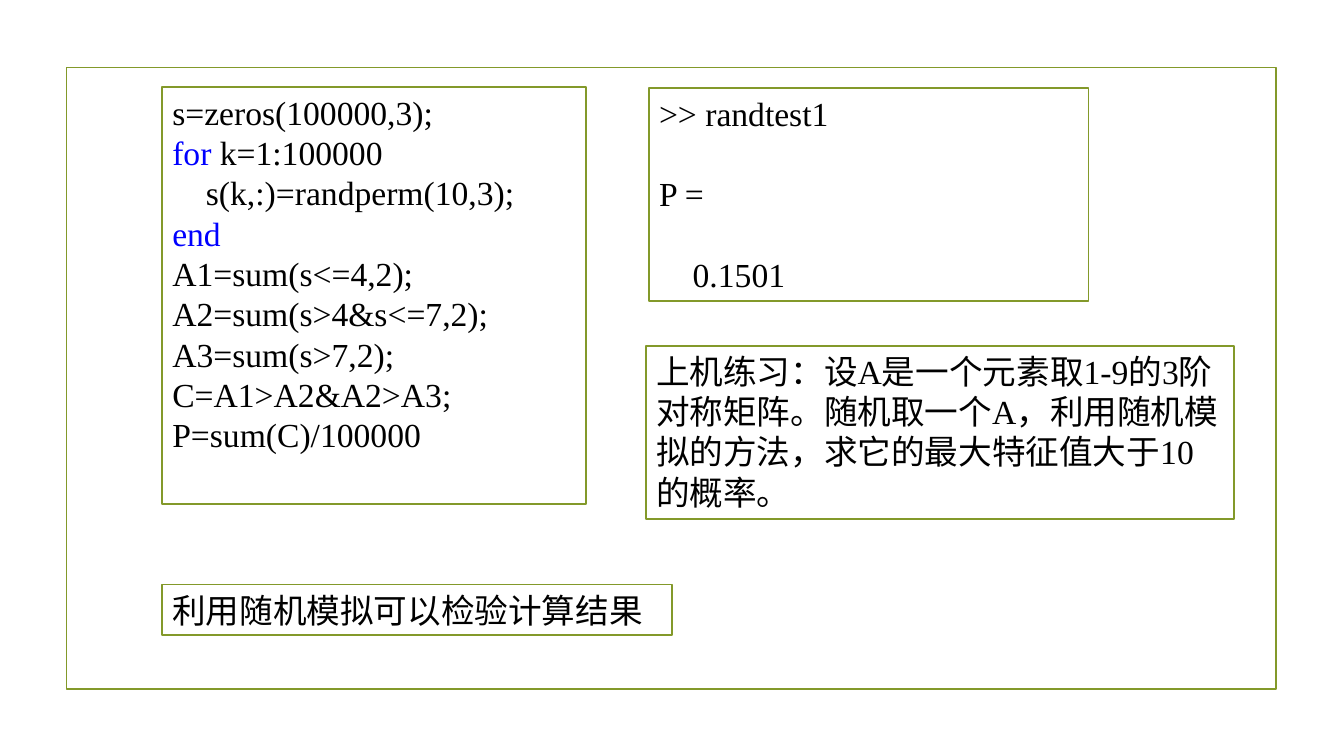
"""Builds a slide on checking a probability by random simulation."""
from dataclasses import dataclass

from lxml import etree
from pptx import Presentation
from pptx.dml.color import RGBColor
from pptx.enum.shapes import MSO_SHAPE
from pptx.enum.text import MSO_ANCHOR, MSO_AUTO_SIZE, PP_ALIGN
from pptx.oxml.ns import qn
from pptx.util import Inches, Pt

RECTANGLE = MSO_SHAPE.RECTANGLE
TOP = MSO_ANCHOR.TOP
LEFT = PP_ALIGN.LEFT
NO_AUTOFIT = MSO_AUTO_SIZE.NONE

PAGE_WIDTH = Inches(13.33)
PAGE_HEIGHT = Inches(7.5)
COLUMN = PAGE_WIDTH / 100
ROW = PAGE_HEIGHT / 100


@dataclass(frozen=True)
class Theme:
    """Colours, fonts and type sizes of the slide."""
    ink: RGBColor = RGBColor(0, 0, 0)
    keyword: RGBColor = RGBColor(0, 0, 255)
    paper: RGBColor = RGBColor(255, 255, 255)
    border: RGBColor = RGBColor(0x83, 0x99, 0x2A)
    border_width: Pt = Pt(1.25)
    latin: str = "Times New Roman"
    chinese: str = "Noto Sans CJK JP"
    size: Pt = Pt(24)
    leading: Pt = Pt(28.8)
    indent: Pt = Pt(24)


THEME = Theme()


@dataclass(frozen=True)
class Span:
    """A piece of text in one colour."""
    text: str
    color: RGBColor = THEME.ink


@dataclass(frozen=True)
class Line:
    """A paragraph with its indent steps and the empty lines above it."""
    spans: tuple[Span, ...]
    indent: int = 0
    gap: int = 0


@dataclass(frozen=True)
class Panel:
    """A bordered rectangle placed in grid columns and rows."""
    left: float
    top: float
    width: float
    height: float
    lines: tuple[Line, ...] = ()
    filled: bool = True
    font: str = THEME.latin


def plain(text: str, indent: int = 0, gap: int = 0) -> Line:
    """Return a line made of one black span."""
    return Line((Span(text),), indent, gap)


FRAME = Panel(4.95, 8.93, 90, 82.27, filled=False)
CODE = Panel(12.08, 11.47, 31.5, 55.2, (
    plain("s=zeros(100000,3);"),
    Line((Span("for", THEME.keyword), Span(" k=1:100000"))),
    plain("s(k,:)=randperm(10,3);", indent=1),
    Line((Span("end", THEME.keyword),)),
    plain("A1=sum(s<=4,2);"),
    plain("A2=sum(s>4&s<=7,2);"),
    plain("A3=sum(s>7,2);"),
    plain("C=A1>A2&A2>A3;"),
    plain("P=sum(C)/100000"),
))
RESULT = Panel(48.3, 11.6, 32.7, 28.27, (
    plain(">> randtest1"),
    plain("P =", gap=1),
    plain("0.1501", indent=1, gap=1),
))
EXERCISE = Panel(48.08, 45.73, 43.73, 22.93, (
    plain("上机练习：设A是一个元素取1-9的3阶对称矩阵。随机取一个A，"
          "利用随机模拟的方法，求它的最大特征值大于10的概率。"),
))
REMARK = Panel(12.08, 77.33, 37.95, 6.67, (
    plain("利用随机模拟可以检验计算结果"),
), font=THEME.chinese)


def apply_format(target: object, values: dict[str, object]) -> None:
    """Set every named attribute on the target."""
    for name, value in values.items():
        setattr(target, name, value)


def add_line(para, line: Line, font: str) -> None:
    """Write one line of text into a paragraph."""
    apply_format(para, {"alignment": LEFT, "line_spacing": THEME.leading,
                        "space_before": Pt(THEME.leading.pt * line.gap)})
    if line.indent:
        properties = para._p.get_or_add_pPr()
        properties.set("marL", str(THEME.indent * line.indent))
        properties.set("indent", "0")
    for span in line.spans:
        run = para.add_run()
        run.text = span.text
        apply_format(run.font, {"name": font, "size": THEME.size})
        run.font.color.rgb = span.color
        east_asian = etree.SubElement(run._r.get_or_add_rPr(), qn("a:ea"))
        east_asian.set("typeface", THEME.chinese)


def add_panel(page, panel: Panel) -> None:
    """Draw one panel with its text."""
    box = page.shapes.add_shape(
        RECTANGLE, round(panel.left * COLUMN), round(panel.top * ROW),
        round(panel.width * COLUMN), round(panel.height * ROW))
    box.shadow.inherit = False
    box.line.color.rgb = THEME.border
    box.line.width = THEME.border_width
    if panel.filled:
        box.fill.solid()
        box.fill.fore_color.rgb = THEME.paper
    else:
        box.fill.background()
    frame = box.text_frame
    apply_format(frame, {"word_wrap": True, "vertical_anchor": TOP,
                         "auto_size": NO_AUTOFIT})
    for index, line in enumerate(panel.lines):
        para = frame.add_paragraph() if index else frame.paragraphs[0]
        add_line(para, line, panel.font)


def main() -> None:
    """Build and save the deck."""
    deck = Presentation()
    apply_format(deck, {"slide_width": PAGE_WIDTH,
                        "slide_height": PAGE_HEIGHT})
    page = deck.slides.add_slide(deck.slide_layouts[6])
    for panel in (FRAME, CODE, RESULT, EXERCISE, REMARK):
        add_panel(page, panel)
    deck.save("out.pptx")


if __name__ == "__main__":
    main()
